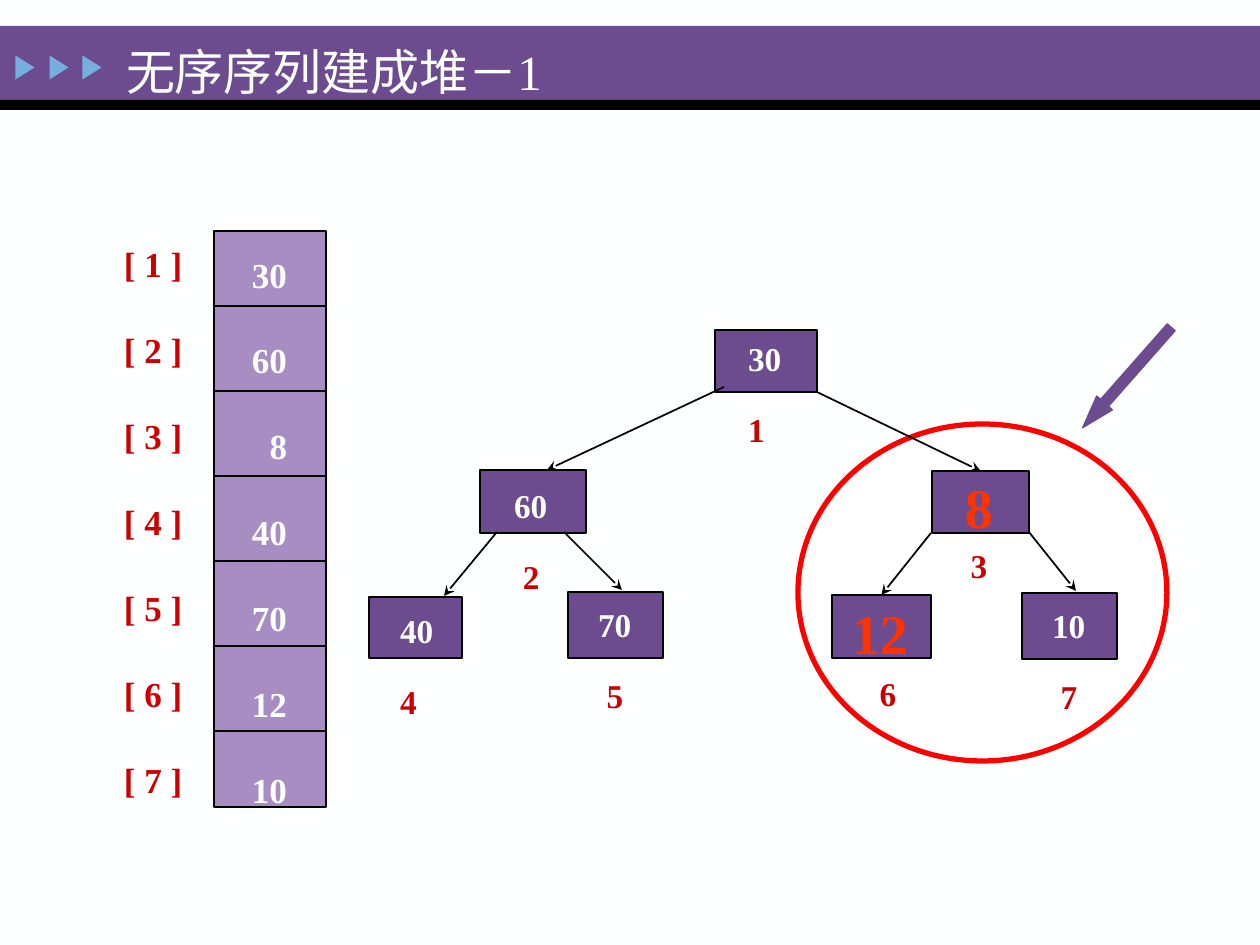
from pptx import Presentation
from pptx import util as u
from pptx.dml.color import RGBColor
from pptx.enum import shapes, text
from pptx.oxml.ns import qn
from lxml import etree

PX = 914400 // 126
PURPLE, LILAC, BLUE = "6C4C8F", "A78DC2", "76AEDD"
BLACK, WHITE, RED = "000000", "FEFFFF", "CC0000"
BRIGHT, ORANGE = "FF0000", "FF3300"
KIND = shapes.MSO_SHAPE
ALIGN = text.PP_ALIGN


def px(value):
    return u.Emu(value * PX)


def color(value):
    return RGBColor.from_string(value)


def add_block(page, kind, at, fill, line=None, width=1):
    block = page.shapes.add_shape(kind, *map(px, at))
    block.shadow.inherit = False
    block.fill.solid()
    block.fill.fore_color.rgb = color(fill)
    if line:
        block.line.color.rgb = color(line)
        block.line.width = u.Pt(width)
    else:
        block.line.fill.background()
    return block


def add_text(page, at, lines, size, margins=(13, 6), gap=0, bold=True, spacing=None):
    """Lines are (wording, colour, alignment); gap is the space between them."""
    box = page.shapes.add_textbox(*map(px, at))
    frame = box.text_frame
    side, top = map(px, margins)
    settings = {"word_wrap": True, "margin_left": side, "margin_right": side,
                "margin_top": top, "margin_bottom": top}
    for name, value in settings.items():
        setattr(frame, name, value)
    for index, (wording, ink, align) in enumerate(lines):
        para = frame.add_paragraph() if index else frame.paragraphs[0]
        para.alignment = align
        if index:
            para.space_before = u.Pt(gap)
        if spacing:
            para.line_spacing = spacing
        span = para.add_run()
        span.text = wording
        font = {"name": "Times New Roman", "size": u.Pt(size), "bold": bold}
        for name, value in font.items():
            setattr(span.font, name, value)
        span.font.color.rgb = color(ink)


def add_line(page, start, end, arrow=False):
    line = page.shapes.add_connector(
        shapes.MSO_CONNECTOR.STRAIGHT, *map(px, (*start, *end)))
    line.line.color.rgb = color(BLACK)
    line.line.width = u.Pt(1)
    if arrow:
        etree.SubElement(line.line._get_or_add_ln(), qn("a:tailEnd"), type="stealth")
    etree.SubElement(line._element.spPr, qn("a:effectLst"))
    return line


def add_header(page):
    add_block(page, KIND.RECTANGLE, (0, 26, 1260, 75), PURPLE)
    add_block(page, KIND.RECTANGLE, (0, 100, 1260, 10), BLACK)
    for left in (13, 47, 80):
        mark = add_block(page, KIND.ISOSCELES_TRIANGLE, (left, 58, 24, 19), BLUE)
        mark.rotation = 90
    add_text(page, (113, 21, 562, 73), [("无序序列建成堆－1", WHITE, ALIGN.LEFT)],
             28, bold=False, spacing=1.25)


def add_array(page, values):
    add_block(page, KIND.RECTANGLE, (214, 231, 112, 576), LILAC, BLACK)
    for row in range(len(values) - 1):
        y = 306 + 85 * row
        add_line(page, (213, y), (326, y))
    indexes = [(f"[ {i} ]", RED, ALIGN.LEFT) for i in range(1, len(values) + 1)]
    cells = [(str(value), WHITE, ALIGN.RIGHT) for value in values]
    add_text(page, (111, 237, 86, 646), indexes, 20, gap=25.1)
    add_text(page, (239, 247, 61, 565), cells, 20, gap=25.1)


def add_tree(page):
    # Node rectangles, keyed by heap index
    frames = {1: (715, 330, 102, 62), 2: (480, 470, 106, 63),
              3: (932, 471, 97, 62), 4: (369, 597, 93, 61),
              5: (568, 592, 95, 66), 6: (832, 595, 99, 63),
              7: (1022, 593, 95, 66)}
    nodes = {index: add_block(page, KIND.RECTANGLE, at, PURPLE, BLACK)
             for index, at in frames.items()}

    # Arrows from parent to child
    edges = [((724, 387), (547, 470), None), ((817, 392), (978, 472), 3),
             ((497, 532), (444, 596), None), ((564, 532), (622, 590), None),
             ((931, 533), (883, 590), 6), ((1029, 532), (1076, 591), None)]
    for start, end, child in edges:
        line = add_line(page, start, end, arrow=True)
        if child:
            line.end_connect(nodes[child], 0)

    # Values with their heap index below: left, top
    for index, value, left, top, align in [
            (1, 30, 738, 333, ALIGN.LEFT), (2, 60, 504, 480, ALIGN.CENTER),
            (4, 40, 390, 605, ALIGN.LEFT), (5, 70, 588, 599, ALIGN.CENTER),
            (7, 10, 1042, 600, ALIGN.CENTER)]:
        lines = [(str(value), WHITE, ALIGN.LEFT), (str(index), RED, align)]
        add_text(page, (left, top, 54, 121), lines, 19, (10, 5), gap=17.7)

    # Highlighted nodes: large value, index on its own
    for index, value, left, top, index_left, index_top in [
            (3, 8, 935, 468, 952, 540), (6, 12, 836, 594, 861, 668)]:
        add_text(page, (index_left, index_top, 54, 48),
                 [(str(index), RED, ALIGN.CENTER)], 19, (10, 5))
        add_text(page, (left, top, 88, 78),
                 [(str(value), ORANGE, ALIGN.CENTER)], 32, (10, 5))


def main():
    deck = Presentation()
    deck.slide_width, deck.slide_height = px(1260), px(945)
    page = deck.slides.add_slide(deck.slide_layouts[6])
    page.background.fill.solid()
    page.background.fill.fore_color.rgb = color(WHITE)

    add_header(page)
    # Subtree being adjusted
    add_block(page, KIND.OVAL, (798, 424, 369, 337), "FFFFFF", BRIGHT, 3)
    add_array(page, [30, 60, 8, 40, 70, 12, 10])
    pointer = add_block(page, KIND.LEFT_ARROW, (1060, 367, 134, 21), PURPLE, PURPLE, 0.75)
    pointer.rotation = 311.4
    pointer.adjustments[0] = 0.5
    pointer.adjustments[1] = 1.58
    add_tree(page)
    deck.save("out.pptx")


if __name__ == "__main__":
    main()
